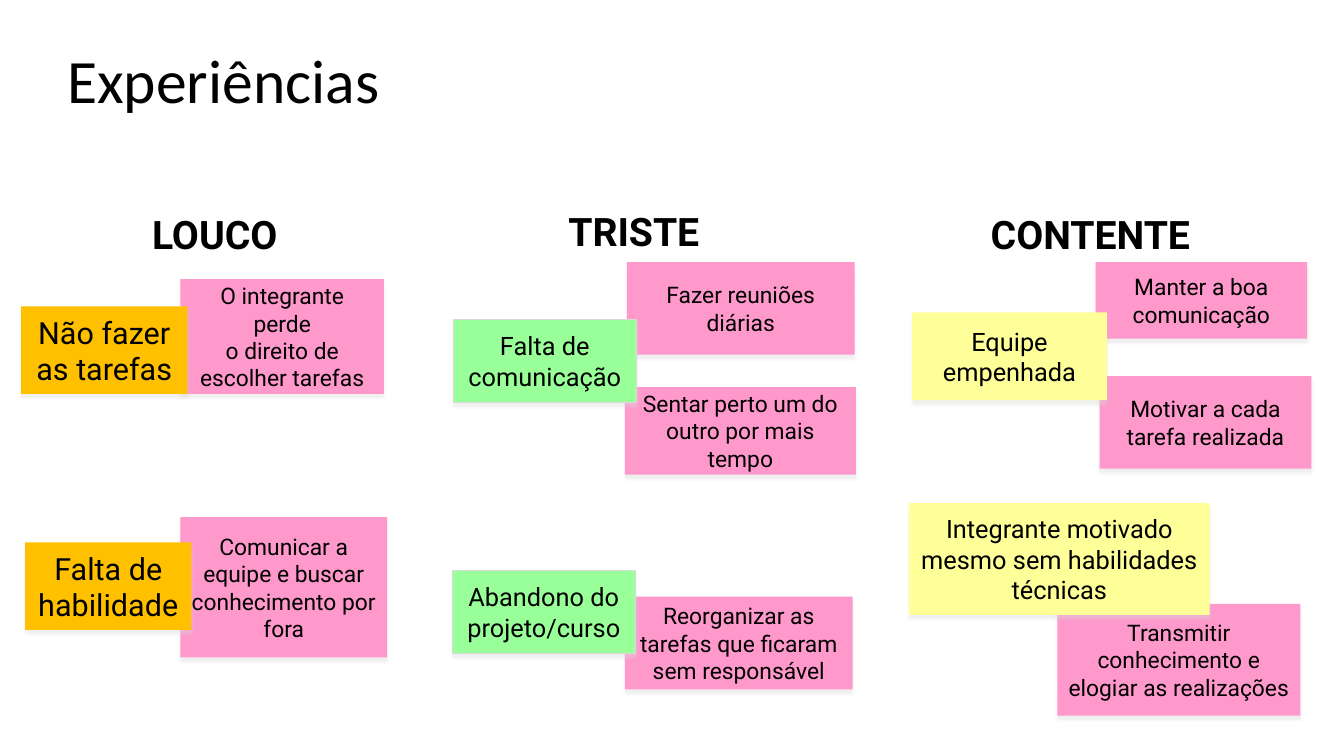
from lxml import etree
from pptx import Presentation
from pptx.dml.color import RGBColor
from pptx.enum.shapes import MSO_SHAPE
from pptx.enum.text import MSO_ANCHOR, PP_ALIGN
from pptx.oxml.ns import qn
from pptx.util import Pt

BLACK = RGBColor(0, 0, 0)
GREY = RGBColor(0xD9, 0xD9, 0xD9)
PINK = RGBColor(0xFF, 0x99, 0xCC)
ORANGE = RGBColor(0xFF, 0xC0, 0x00)
GREEN = RGBColor(0x99, 0xFF, 0x99)
YELLOW = RGBColor(0xFF, 0xFF, 0x99)

ACTION_SIZE = 16.3

# Column: heading, its offset and width, topic style (fill, size, outlined),
# then notes as (x, y, width, height, text) from the column's corner.
COLUMNS = [
    dict(x=15, heading=("LOUCO", 86.5, 3, 107), style=(ORANGE, 21.8, False),
         actions=[(113.9, 55.4, 145.4, 82.1,
                   "O integrante perde\no direito de escolher tarefas"),
                  (113.9, 225.4, 147.6, 100.1,
                   "Comunicar a equipe e buscar conhecimento por fora")],
         topics=[(0.1, 74.9, 118.8, 62.6, "Não fazer as tarefas"),
                 (3, 243.4, 118.8, 62.6, "Falta de habilidade")]),
    dict(x=323, heading=("TRISTE", 75.9, 0.7, 111), style=(GREEN, 18.1, True),
         actions=[(124.8, 43.2, 162.7, 66.2, "Fazer reuniões diárias"),
                  (123.4, 132.5, 164.9, 62.6,
                   "Sentar perto um do outro por mais tempo"),
                  (123.4, 282.2, 162.7, 66.2,
                   "Reorganizar as tarefas que ficaram sem responsável")],
         topics=[(1, 84.2, 130.3, 59, "Falta de comunicação"),
                 (0.3, 263.5, 130.3, 59, "Abandono do projeto/curso")]),
    dict(x=649, heading=("CONTENTE", 51.6, 3, 191.5), style=(YELLOW, 18.1, False),
         actions=[(133.6, 43.2, 151.2, 54.7, "Manter a boa comunicação"),
                  (136.5, 124.6, 151.2, 66.2, "Motivar a cada tarefa realizada"),
                  (106.3, 287.3, 173.5, 79.9,
                   "Transmitir conhecimento e elogiar as realizações")],
         topics=[(0.4, 215.3, 214.6, 79.9,
                  "Integrante motivado\nmesmo sem habilidades técnicas"),
                 (2.6, 79.2, 139, 62.6, "Equipe empenhada")]),
]


def set_text(tf, text, font, size, bold=False, align=PP_ALIGN.LEFT):
    """Fill a text frame, one paragraph per line of text."""
    tf.word_wrap = True
    tf.text = text
    for p in tf.paragraphs:
        p.alignment = align
        p.font.name, p.font.size, p.font.bold = font, Pt(size), bold
        p.font.color.rgb = BLACK


def add_label(s, x, y, w, h, text, font, size, bold=False):
    """Add a text box and return its first paragraph."""
    tf = s.shapes.add_textbox(Pt(x), Pt(y), Pt(w), Pt(h)).text_frame
    set_text(tf, text, font, size, bold)
    return tf.paragraphs[0]


def add_shadow(sp):
    """Give a shape a soft grey shadow straight below it."""
    sp.shadow.inherit = False
    effects = sp._element.spPr.find(qn("a:effectLst"))
    shadow = etree.SubElement(effects, qn("a:outerShdw"), blurRad=str(Pt(2)),
                              dist=str(Pt(3)), dir="5400000", algn="t",
                              rotWithShape="0")
    color = etree.SubElement(shadow, qn("a:srgbClr"), val=str(GREY))
    etree.SubElement(color, qn("a:alpha"), val="40000")


def add_note(s, x, y, w, h, text, fill, size, outlined=False):
    """Add a sticky note with centred text."""
    sp = s.shapes.add_shape(MSO_SHAPE.RECTANGLE, Pt(x), Pt(y), Pt(w), Pt(h))
    sp.fill.solid()
    sp.fill.fore_color.rgb = fill
    if outlined:
        sp.line.color.rgb = GREY
        sp.line.width = Pt(0.25)
    else:
        sp.line.fill.background()
    add_shadow(sp)
    sp.text_frame.vertical_anchor = MSO_ANCHOR.MIDDLE
    set_text(sp.text_frame, text, "Roboto", size, align=PP_ALIGN.CENTER)


def add_column(s, left, top, heading, style, actions, topics):
    """Add a mood column: heading, pink actions, then topics over them."""
    text, dx, dy, width = heading
    add_label(s, left + dx, top + dy, width, 41, text, "Roboto", 28, True)
    for notes, look in ((actions, (PINK, ACTION_SIZE)), (topics, style)):
        for x, y, w, h, text in notes:
            add_note(s, left + x, top + y, w, h, text, *look)


def build_experiences(prs):
    """Add the slide with its title and three mood columns."""
    s = prs.slides.add_slide(prs.slide_layouts[6])
    for column in COLUMNS:
        add_column(s, column["x"], 144, column["heading"], column["style"],
                   column["actions"], column["topics"])
    p = add_label(s, 41, 32.4, 828, 104.4, "Experiências", "Calibri", 44)
    p.line_spacing = 0.9


prs = Presentation()
prs.slide_width, prs.slide_height = Pt(960), Pt(540)
build_experiences(prs)
prs.save("out.pptx")
